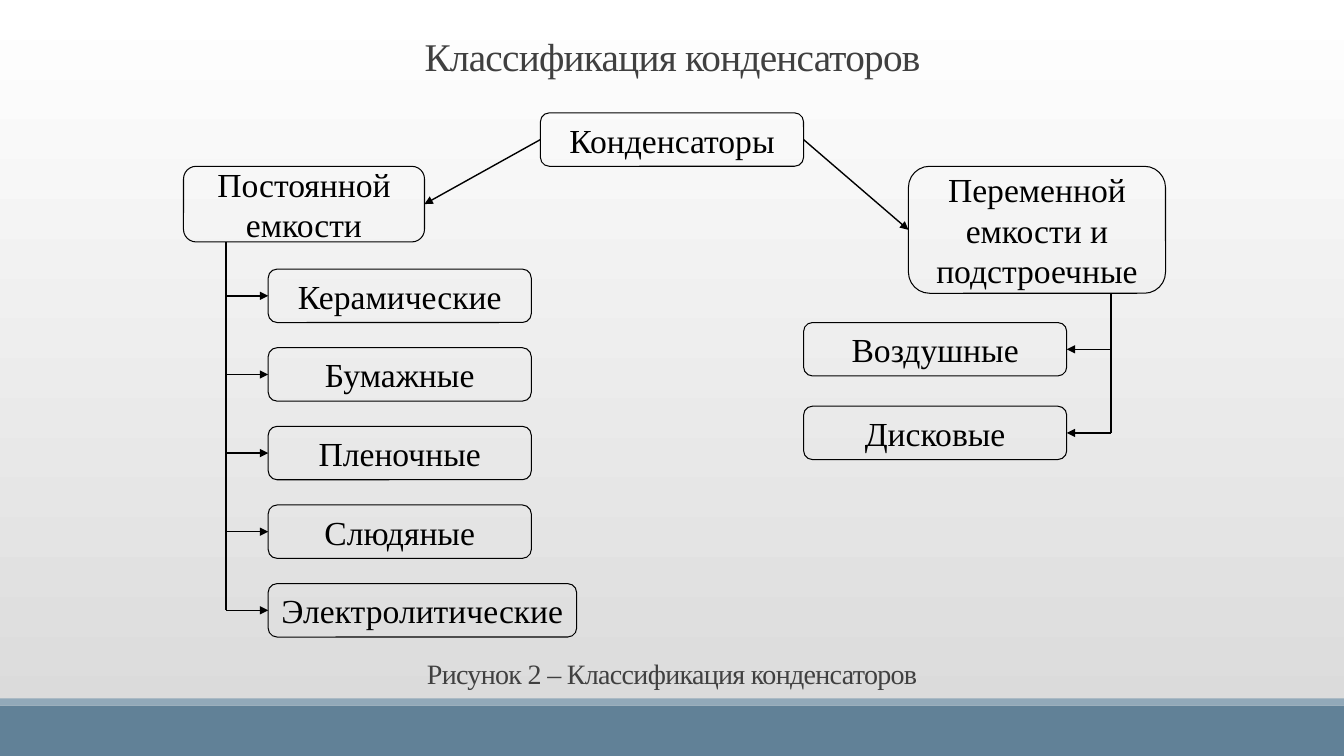
from lxml import etree
from pptx import Presentation
from pptx import util as u
from pptx.dml.color import RGBColor
from pptx.enum import shapes, text
from pptx.oxml.ns import qn

# Content
TITLE = "Классификация конденсаторов"
CAPTION = "Рисунок 2 – Классификация конденсаторов"
ROOT = ("Конденсаторы", 5.36, 1.12, 2.61, 0.53)
FIXED = ("Постоянной\vемкости", 1.82, 1.65, 2.39, 0.75)
VARIABLE = ("Переменной\vемкости и подстроечные", 9.01, 1.65, 2.55, 1.26)
FIXED_TYPES = [("Керамические", 2.61), ("Бумажные", 2.61), ("Пленочные", 2.61),
               ("Слюдяные", 2.61), ("Электролитические", 3.06)]
VARIABLE_TYPES = [("Воздушные", 2.61), ("Дисковые", 2.61)]

# Branches: group box, its types, left edge, first top, step, trunk x, side joined
BRANCHES = [(FIXED, FIXED_TYPES, 2.66, 2.67, 0.78, 2.24, 1),
            (VARIABLE, VARIABLE_TYPES, 7.97, 3.2, 0.83, 11.02, 3)]
TYPE_H = 0.53

THEME = dict(font="Times New Roman", title=28, box=24, caption=20,
             ink="000000", heading="404040", band="618197", stripe="92A9B9",
             sky="FFFFFF", ground="D9D9D9", outline=0.75, link=1)


def color(name):
    return RGBColor.from_string(THEME[name])


def write(sp, words, size, ink, spacing=None):
    tf = sp.text_frame
    tf.text = words
    tf.word_wrap = True
    tf.auto_size = text.MSO_AUTO_SIZE.NONE
    tf.vertical_anchor = text.MSO_ANCHOR.MIDDLE
    p = tf.paragraphs[0]
    p.alignment = text.PP_ALIGN.CENTER
    for r in p.runs:
        r.font.name = THEME["font"]
        r.font.size = u.Pt(THEME[size])
        r.font.color.rgb = color(ink)
        if spacing is not None:
            r.font._element.set("spc", str(round(spacing * 100)))
    return p


def add_band(s, top, height, fill):
    sp = s.shapes.add_shape(shapes.MSO_SHAPE.RECTANGLE, 0, u.Inches(top),
                            prs.slide_width, u.Inches(height))
    sp.shadow.inherit = False
    sp.fill.solid()
    sp.fill.fore_color.rgb = color(fill)
    sp.line.fill.background()


def add_box(s, words, *place):
    sp = s.shapes.add_shape(shapes.MSO_SHAPE.ROUNDED_RECTANGLE,
                            *(u.Inches(v) for v in place))
    sp.shadow.inherit = False
    sp.fill.background()
    sp.line.color.rgb = color("ink")
    sp.line.width = u.Pt(THEME["outline"])
    write(sp, words, "box", "ink")
    return sp


def add_link(s, x1, y1, x2, y2, arrow=True):
    cx = s.shapes.add_connector(shapes.MSO_CONNECTOR.STRAIGHT,
                                *(u.Inches(v) for v in (x1, y1, x2, y2)))
    cx.line.color.rgb = color("ink")
    cx.line.width = u.Pt(THEME["link"])
    if arrow:
        etree.SubElement(cx.line._get_or_add_ln(), qn("a:tailEnd"), type="triangle")
    etree.SubElement(cx._element.spPr, qn("a:effectLst"))
    return cx


prs = Presentation()
prs.slide_width, prs.slide_height = u.Inches(13.33), u.Inches(7.5)
s = prs.slides.add_slide(prs.slide_layouts[5])

# Background and bottom bands
fill = s.background.fill
fill.gradient()
fill.gradient_angle = 270
for stop, position, name in zip(fill.gradient_stops, (0, 1), ("sky", "ground")):
    stop.position = position
    stop.color.rgb = color(name)
add_band(s, 7, 0.5, "band")
add_band(s, 6.93, 0.07, "stripe")

# Title
title = s.shapes.title
title.left, title.top = u.Inches(1.17), u.Inches(0.33)
title.width, title.height = u.Inches(11), u.Inches(0.53)
write(title, TITLE, "title", "heading", -0.5).line_spacing = 0.85

# Tree: root, two groups and their types
root = add_box(s, *ROOT)
for group, types, left, first_top, step, trunk, side in BRANCHES:
    group_box = add_box(s, *group)
    cx = add_link(s, 0, 0, 1, 1)
    cx.begin_connect(root, side)
    cx.end_connect(group_box, 4 - side)

    for i, (name, width) in enumerate(types):
        top = first_top + i * step
        middle = top + TYPE_H / 2
        type_box = add_box(s, name, left, top, width, TYPE_H)
        add_link(s, trunk, middle, left, middle).end_connect(type_box, side)
    add_link(s, trunk, group[2] + group[4], trunk, middle, arrow=False)

# Caption
caption = s.shapes.add_textbox(u.Inches(0.56), u.Inches(6.43),
                               u.Inches(12.21), u.Inches(0.42))
write(caption, CAPTION, "caption", "heading", -0.5).line_spacing = u.Pt(30)

prs.save("out.pptx")
